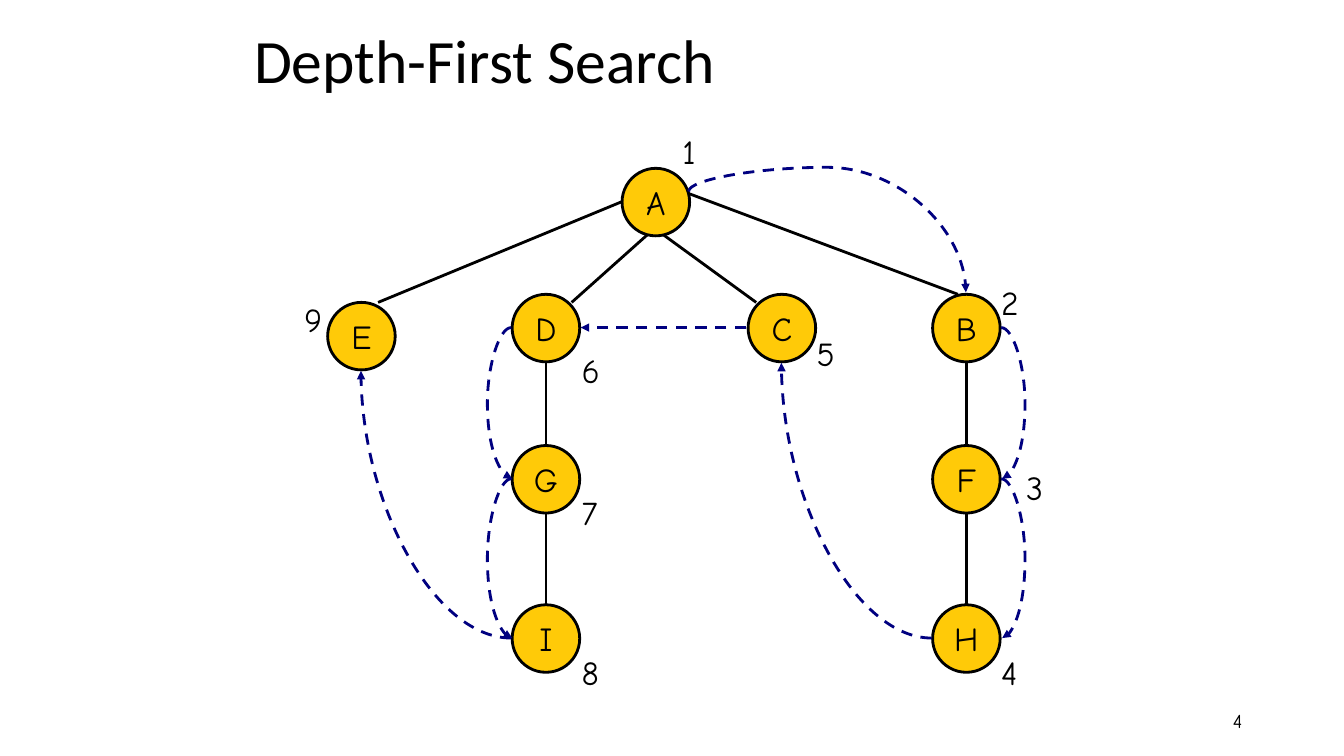
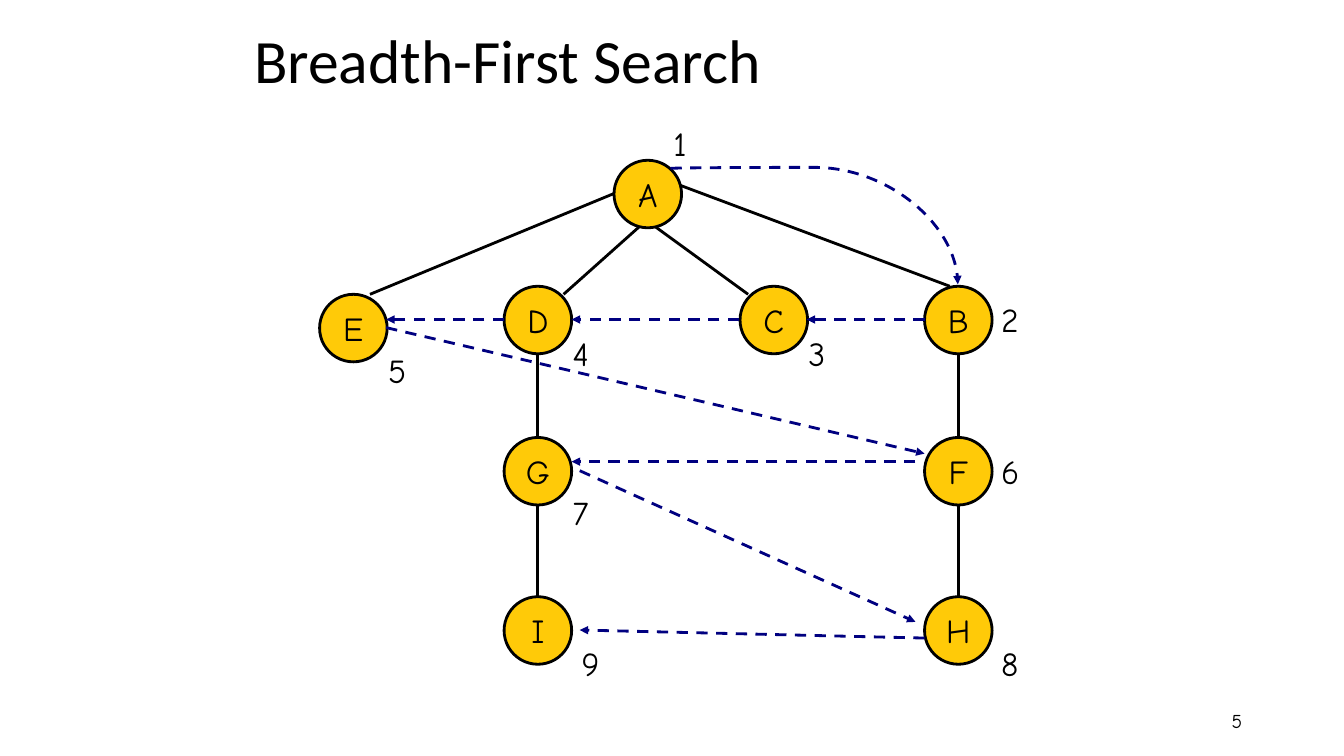
from lxml import etree
from pptx import Presentation
from pptx.dml.color import RGBColor
from pptx.enum.dml import MSO_LINE
from pptx.enum.shapes import MSO_CONNECTOR, MSO_SHAPE
from pptx.enum.text import MSO_ANCHOR, MSO_AUTO_SIZE, PP_ALIGN
from pptx.oxml.ns import qn
from pptx.util import Inches, Pt

STRAIGHT, CURVE = MSO_CONNECTOR.STRAIGHT, MSO_CONNECTOR.CURVE
OVAL, DASH = MSO_SHAPE.OVAL, MSO_LINE.DASH
LEFT, CENTER, RIGHT = PP_ALIGN.LEFT, PP_ALIGN.CENTER, PP_ALIGN.RIGHT
TOP, MIDDLE = MSO_ANCHOR.TOP, MSO_ANCHOR.MIDDLE
TITLE_ONLY = 5

# Shared style
BLACK, GOLD, NAVY = "000000", "FFCA08", "000080"
TITLE_FONT, BODY_FONT = "Calibri", "Comic Neue"
LINE_WIDTH = Pt(2)
NODE_SIZE = 0.67
LOOP_WIDTH, LOOP_DEPTH = 0.01, 0.24

# Tree shared by both slides: top left of each node, then the edges
NODES = {
    "G": (5.08, 4.42), "I": (5.08, 6), "A": (6.17, 1.67),
    "D": (5.08, 2.92), "E": (3.25, 3), "C": (7.42, 2.92),
    "B": (9.25, 2.92), "F": (9.25, 4.42), "H": (9.25, 6),
}
ROOT_EDGES = [
    ((6.17, 2), (3.75, 3)), ((6.42, 2.33), (5.67, 3)),
    ((6.58, 2.33), (7.5, 3)), ((6.83, 1.92), (9.5, 2.92)),
]
STEM_EDGES = ["DG", "GI", "BF", "FH"]

# Visiting order: top left of the numbers 1 to 9
DEPTH_ORDER = [(6.67, 1.25), (9.83, 2.75), (10.08, 4.58), (9.83, 6.42),
               (8, 3.25), (5.67, 3.42), (5.67, 4.83), (5.67, 6.42),
               (2.92, 2.92)]
BREADTH_ORDER = [(6.58, 1.17), (9.83, 2.92), (7.92, 3.25), (5.58, 3.25),
                 (3.75, 3.42), (9.83, 4.42), (5.58, 4.83), (9.83, 6.33),
                 (5.67, 6.33)]
BREADTH_ARROWS = [
    ((9.17, 3.17), (8, 3.17)), ((7.33, 3.17), (5.67, 3.17)),
    ((5, 3.17), (3.83, 3.17)), ((3.83, 3.25), (9.17, 4.5)),
    ((9.08, 4.58), (5.67, 4.58)), ((5.75, 4.67), (9.08, 6.17)),
    ((9.17, 6.33), (5.75, 6.25)),
]


def rgb(color):
    return RGBColor.from_string(color)


def write(tf, text, size=24, font=BODY_FONT, color=BLACK, align=LEFT,
          anchor=TOP, wrap=True, spacing=None):
    tf.word_wrap = wrap
    tf.auto_size = MSO_AUTO_SIZE.NONE
    tf.vertical_anchor = anchor
    p = tf.paragraphs[0]
    p.alignment = align
    p.line_spacing = spacing
    r = p.add_run()
    r.text = text
    r.font.size = Pt(size)
    r.font.name = font
    r.font.color.rgb = rgb(color)


def add_label(slide, text, x, y, w=0.42, h=0.5, **fmt):
    sp = slide.shapes.add_textbox(Inches(x), Inches(y), Inches(w), Inches(h))
    write(sp.text_frame, text, **fmt)


def add_node(slide, name, x, y):
    sp = slide.shapes.add_shape(OVAL, Inches(x), Inches(y),
                                Inches(NODE_SIZE), Inches(NODE_SIZE))
    sp.shadow.inherit = False
    sp.fill.solid()
    sp.fill.fore_color.rgb = rgb(GOLD)
    sp.line.color.rgb = rgb(BLACK)
    sp.line.width = LINE_WIDTH
    write(sp.text_frame, name, align=CENTER, anchor=MIDDLE, wrap=False)


def add_line(slide, start, end, color=BLACK, kind=STRAIGHT):
    points = [Inches(v) for v in (*start, *end)]
    line = slide.shapes.add_connector(kind, *points)
    line.line.color.rgb = rgb(color)
    line.line.width = LINE_WIDTH
    etree.SubElement(line._element.spPr, qn("a:effectLst"))
    return line


def add_arrow(slide, start, end, kind=STRAIGHT):
    arrow = add_line(slide, start, end, NAVY, kind)
    arrow.line.dash_style = DASH
    ln = arrow._element.spPr.find(qn("a:ln"))
    etree.SubElement(ln, qn("a:tailEnd"), type="triangle")
    return arrow


def set_bend(arrow, ratio):
    guides = arrow._element.spPr.find(qn("a:prstGeom")).find(qn("a:avLst"))
    etree.SubElement(guides, qn("a:gd"), name="adj1",
                     fmla=f"val {round(ratio * 100000)}")


def add_loop(slide, x, top, bottom, side):
    """Arrow down beside a stem; side is 1 for right and -1 for left."""
    arrow = add_arrow(slide, (x, top), (x + LOOP_WIDTH, bottom), CURVE)
    set_bend(arrow, side * LOOP_DEPTH / LOOP_WIDTH)


def add_sweep(slide, start, end):
    """Arrow that leaves to the left and arrives from below."""
    (x1, y1), (x2, y2) = start, end
    arrow = add_arrow(slide, (x2, y2), (x1, y1), CURVE)
    spPr = arrow._element.spPr
    spPr.find(qn("a:xfrm")).set("rot", "10800000")
    spPr.find(qn("a:prstGeom")).set("prst", "curvedConnector2")


def add_arch(slide, start, end, rise):
    """Arrow that rises from start, runs right and drops onto end."""
    (x1, y1), (x2, y2) = start, end
    w, h = y2 - y1, x2 - x1
    left, top = (x1 + x2 - w) / 2, (y1 + y2 - h) / 2
    arrow = add_arrow(slide, (left, top), (left + w, top + h), CURVE)
    xfrm = arrow._element.spPr.find(qn("a:xfrm"))
    xfrm.set("rot", "5400000")
    xfrm.set("flipV", "1")
    set_bend(arrow, -rise / w)


def add_tree(slide, shift=0):
    def moved(point):
        return point[0] + shift, point[1] + shift

    for name, corner in NODES.items():
        add_node(slide, name, *moved(corner))
    for start, end in ROOT_EDGES:
        add_line(slide, moved(start), moved(end))
    for parent, child in STEM_EDGES:
        x, y = NODES[parent]
        x += NODE_SIZE / 2
        add_line(slide, moved((x, y + NODE_SIZE)), moved((x, NODES[child][1])))


def add_order(slide, corners):
    for number, (x, y) in enumerate(corners, 1):
        add_label(slide, str(number), x, y)


def add_slide(prs, title, number):
    slide = prs.slides.add_slide(prs.slide_layouts[TITLE_ONLY])
    sp = slide.shapes.title
    sp.left, sp.top = Inches(2.42), Inches(0.17)
    sp.width, sp.height = Inches(7.51), Inches(0.92)
    write(sp.text_frame, title, size=44, font=TITLE_FONT, anchor=MIDDLE,
          spacing=0.9)
    add_label(slide, str(number), 9.42, 6.95, 3, 0.4, size=14, align=RIGHT,
              anchor=MIDDLE)
    return slide


def depth_first(prs):
    slide = add_slide(prs, "Depth-First Search", 4)
    add_tree(slide)
    for x, side in ((9.93, 1), (5.07, -1)):
        for top, bottom in ((3.25, 4.75), (4.75, 6.33)):
            add_loop(slide, x, top, bottom, side)
    add_sweep(slide, (9.24, 6.33), (7.75, 3.6))
    add_sweep(slide, (5.07, 6.33), (3.58, 3.68))
    add_arrow(slide, (7.4, 3.25), (5.76, 3.25))
    add_arch(slide, (6.83, 1.9), (9.58, 2.9), rise=0.24)
    add_order(slide, DEPTH_ORDER)


def breadth_first(prs):
    slide = add_slide(prs, "Breadth-First Search", 5)
    add_tree(slide, shift=-0.08)
    add_order(slide, BREADTH_ORDER)
    add_arch(slide, (6.65, 1.67), (9.5, 2.82), rise=0.01)
    for start, end in BREADTH_ARROWS:
        add_arrow(slide, start, end)


def main():
    prs = Presentation()
    prs.slide_width, prs.slide_height = Inches(13.33), Inches(7.5)
    depth_first(prs)
    breadth_first(prs)
    prs.save("out.pptx")


if __name__ == "__main__":
    main()
